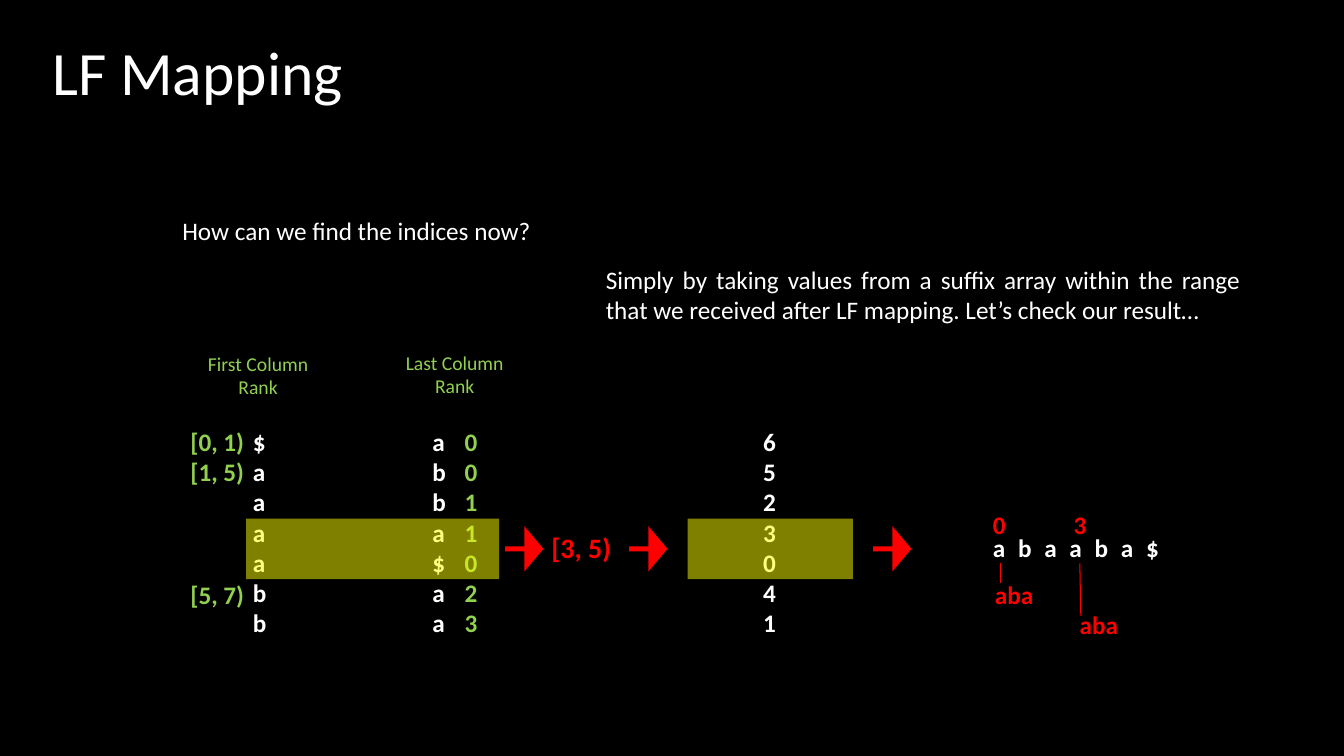
from dataclasses import dataclass

import pptx
import pptx.dml.color
import pptx.enum.shapes
import pptx.enum.text
import pptx.oxml.ns
import pptx.util
from lxml import etree

# Content
TITLE = "LF Mapping"
QUESTION = "How can we find the indices now?"
ANSWER = ("Simply by taking values from a suffix array within the range "
          "that we received after LF mapping. Let’s check our result…")
HEADERS = ["First Column Rank", "Last Column Rank"]
FIRST = ["$", "a", "a", "a", "a", "b", "b"]
LAST = ["a", "b", "b", "a", "$", "a", "a"]
RANKS = ["0", "0", "1", "1", "0", "2", "3"]
SUFFIX_ARRAY = ["6", "5", "2", "3", "0", "4", "1"]
RANGES = ["[0, 1)", "[1, 5)", "[5, 7)"]
FOUND_RANGE = "[3, 5)"
FOUND_ROWS = (3, 5)
TEXT = "abaaba$"
MATCH = "aba"
MATCH_INDICES = ["0", "3"]


@dataclass
class Theme:
    font: str = "Calibri"
    back: str = "000000"
    white: str = "FFFFFF"
    green: str = "92D050"
    red: str = "FF0000"
    yellow: str = "FFFF00"
    title: int = 44
    big: int = 20
    body: int = 18
    small: int = 14


T = Theme()
ALIGN = pptx.enum.text.PP_ALIGN
SHAPE = pptx.enum.shapes.MSO_SHAPE
inch = pptx.util.Inches

# Grid: seven text rows below the table's top edge
W, H = 13.33, 7.5
TOP, ROW, INSET = 4.18, 0.305, 0.05
COLUMN_H = 7 * ROW + 2 * INSET
BAND_Y = TOP + INSET + FOUND_ROWS[0] * ROW
BAND_H = (FOUND_ROWS[1] - FOUND_ROWS[0]) * ROW - 0.01
ARROW_W, ARROW_H = 0.38, 0.45
ARROW_Y = BAND_Y + (BAND_H - ARROW_H) / 2

prs = pptx.Presentation()
prs.slide_width, prs.slide_height = inch(W), inch(H)
s = prs.slides.add_slide(prs.slide_layouts[6])
s.background.fill.solid()


def rgb(value):
    return pptx.dml.color.RGBColor.from_string(value)


s.background.fill.fore_color.rgb = rgb(T.back)


def add_text(lines, x, y, w, h, color, size=T.body, bold=False, align=ALIGN.LEFT):
    tf = s.shapes.add_textbox(inch(x), inch(y), inch(w), inch(h)).text_frame
    tf.word_wrap = True
    for i, line in enumerate(lines):
        p = tf.paragraphs[0] if i == 0 else tf.add_paragraph()
        p.alignment = align
        r = p.add_run()
        r.text = line
        r.font.color.rgb = rgb(color)
        formats = {"name": T.font, "size": pptx.util.Pt(size), "bold": bold}
        for name, value in formats.items():
            setattr(r.font, name, value)
    return tf


def add_block(kind, x, y, w, h, color, opacity=None):
    sp = s.shapes.add_shape(kind, inch(x), inch(y), inch(w), inch(h))
    sp.shadow.inherit = False
    sp.fill.solid()
    sp.fill.fore_color.rgb = rgb(color)
    sp.line.fill.background()
    if opacity:
        fill_color = sp.fill._xPr.find(".//" + pptx.oxml.ns.qn("a:srgbClr"))
        etree.SubElement(fill_color, pptx.oxml.ns.qn("a:alpha"), val=str(opacity * 1000))
    return sp


def add_line(x1, y1, x2, y2):
    line = s.shapes.add_connector(pptx.enum.shapes.MSO_CONNECTOR.STRAIGHT,
                                  inch(x1), inch(y1), inch(x2), inch(y2))
    line.line.color.rgb = rgb(T.red)
    line.line.width = pptx.util.Pt(0.75)
    etree.SubElement(line._element.spPr, pptx.oxml.ns.qn("a:effectLst"))


# Title, question and answer
tf = add_text([TITLE], 0.42, 0.02, 11.5, 1.45, T.white, T.title)
tf.vertical_anchor = pptx.enum.text.MSO_ANCHOR.MIDDLE
tf.paragraphs[0].line_spacing = 0.9
add_text([QUESTION], 1.71, 2.09, 3.97, 0.4, T.white, align=ALIGN.JUSTIFY)
add_text([ANSWER], 5.91, 2.57, 6.49, 0.71, T.white, align=ALIGN.JUSTIFY)

# Column headers
for header, x, y in zip(HEADERS, (1.79, 3.74), (3.44, 3.43)):
    add_text([header], x, y, 1.54, 0.55, T.green, T.small, align=ALIGN.CENTER)

# Columns of the mapping and the suffix array
for lines, x, w, color in [(FIRST, 2.41, 0.36, T.white), (LAST, 4.19, 0.36, T.white),
                           (RANKS, 4.51, 0.36, T.green),
                           (SUFFIX_ARRAY, 7.47, 0.38, T.white)]:
    add_text(lines, x, TOP, w, COLUMN_H, color, bold=True)
tf = add_text(RANGES, 1.79, TOP, 0.8, COLUMN_H, T.green, bold=True)
tf.paragraphs[-1].space_before = inch(3 * ROW)

# Highlighted rows, arrows and the range found
for x, w in [(2.44, 2.51), (6.82, 1.64)]:
    add_block(SHAPE.RECTANGLE, x, BAND_Y, w, BAND_H, T.yellow, opacity=50)
for x in (5.01, 6.24, 8.66):
    arrow = add_block(SHAPE.RIGHT_ARROW, x, ARROW_Y, ARROW_W, ARROW_H, T.red)
    arrow.adjustments[0], arrow.adjustments[1] = 0.108, 0.5
add_text([FOUND_RANGE], 5.16, 5.21, 1.21, 0.44, T.red, T.big, True, ALIGN.CENTER)

# Text with the matches marked
tf = add_text([TEXT], 9.75, 5.23, 2.1, 0.4, T.white, bold=True)
tf.paragraphs[0].runs[0].font._element.set("spc", "910")
for index, index_x, match_x, match_y, x1, x2, end_y in zip(
        MATCH_INDICES, (9.75, 10.55), (9.77, 10.61), (5.7, 6),
        (9.92, 10.71), (9.92, 10.72), (5.78, 6.11)):
    add_text([index], index_x, 5, 0.35, 0.4, T.red, bold=True)
    add_text([MATCH], match_x, match_y, 0.96, 0.4, T.red, bold=True)
    add_line(x1, 5.59, x2, end_y)

prs.save("out.pptx")
